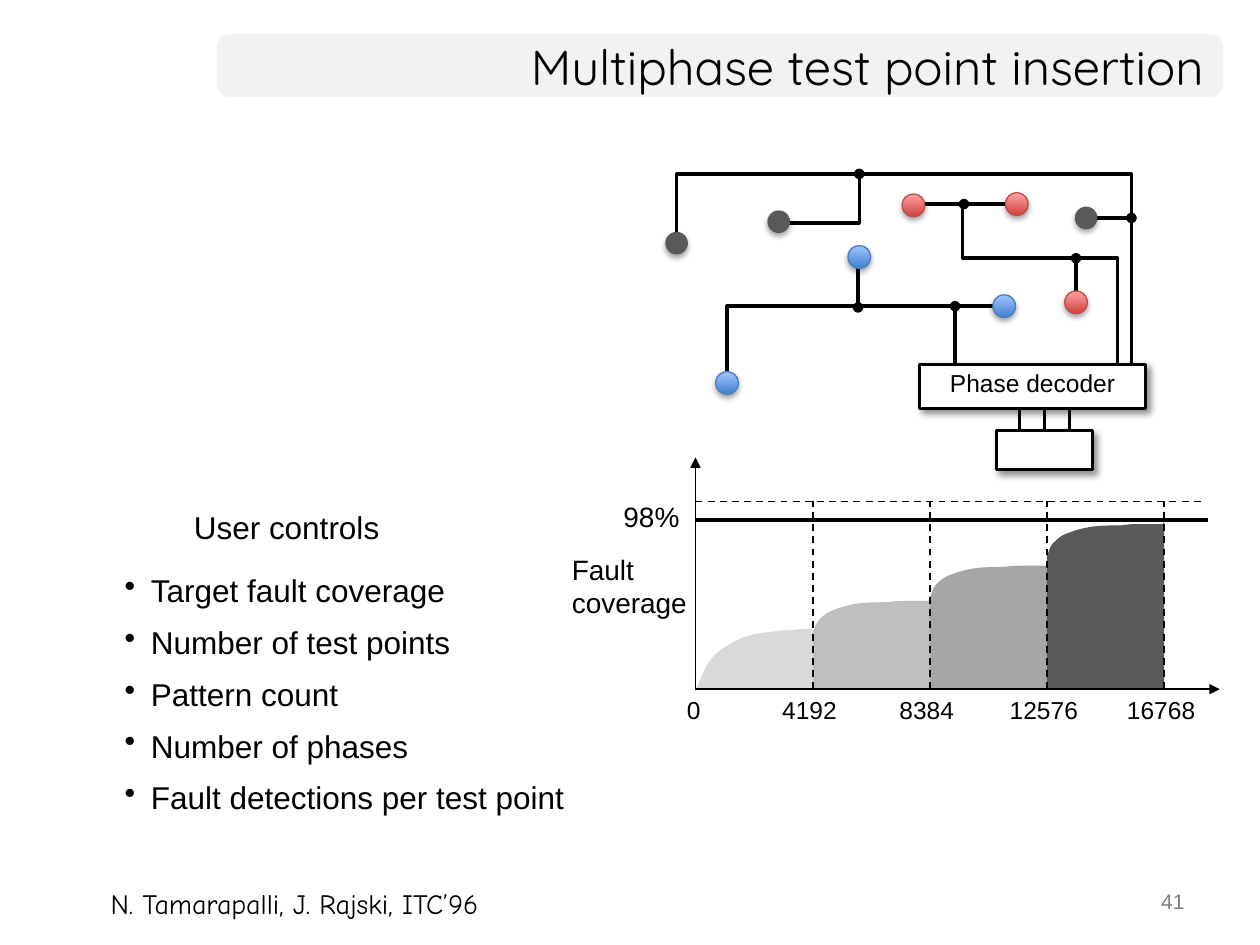
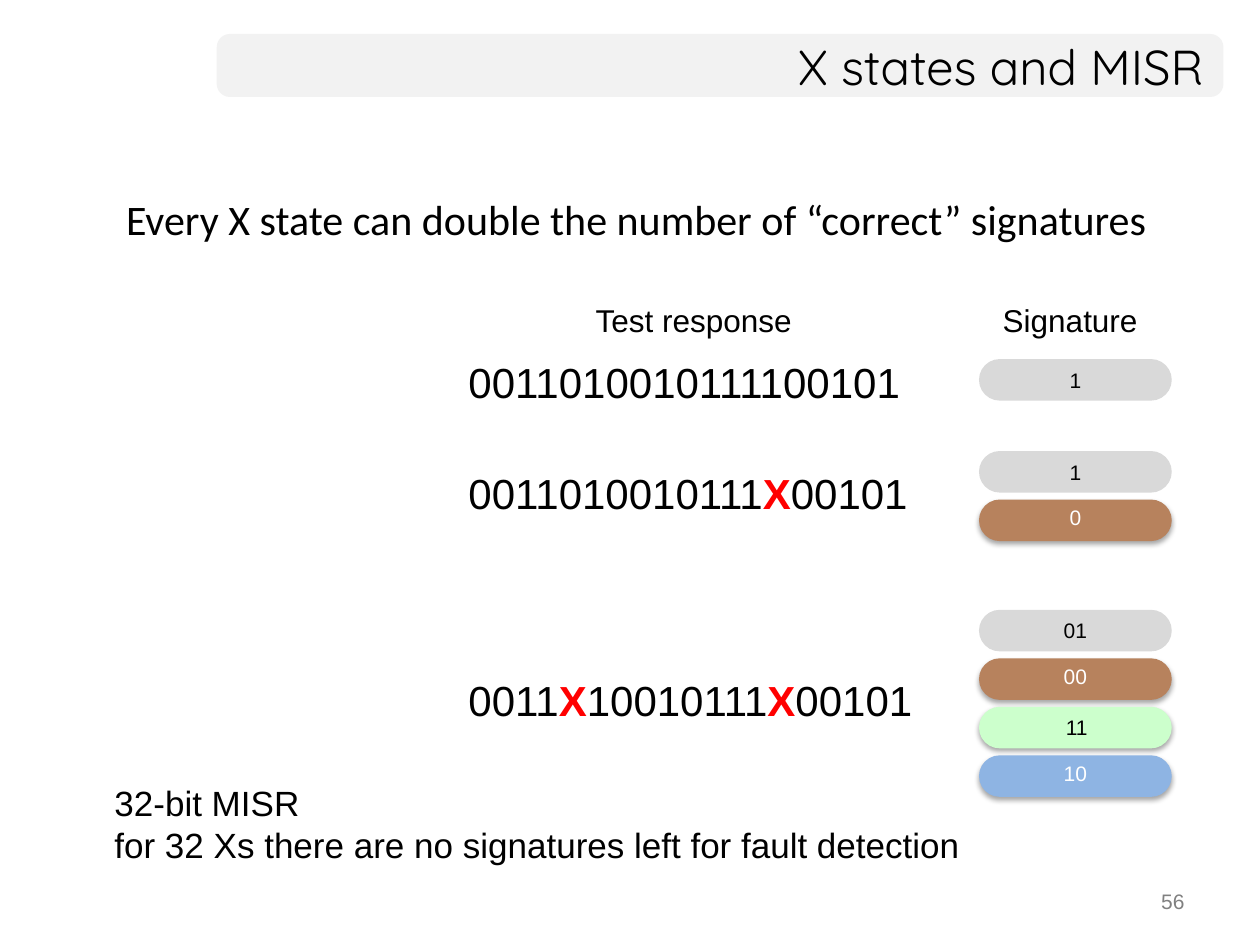
from itertools import groupby

from lxml.etree import SubElement
from pptx import Presentation
from pptx.dml.color import RGBColor
from pptx.enum.dml import MSO_LINE
from pptx.enum.shapes import MSO_CONNECTOR, MSO_SHAPE
from pptx.enum.text import MSO_ANCHOR, MSO_AUTO_SIZE, PP_ALIGN
from pptx.oxml.ns import qn
from pptx.util import Inches, Pt

COLORS = {
    "black": "000000", "white": "FFFFFF", "red": "FF0000",
    "band": "F2F2F2", "page_number": "808080",
    "light_grey": "D9D9D9", "silver": "BFBFBF", "mid_grey": "A6A6A6", "dark_grey": "595959",
    "red_dark": "D1403C", "red_light": "FFA6A5", "red_edge": "BF4C48",
    "blue_dark": "3F80CE", "blue_light": "A4C4FF", "blue_edge": "4B7EBC",
    "brown": "B7825D", "green": "CCFFCC", "sky": "8EB4E3",
}
# opacity %, blur pt, distance pt, angle
SOFT_SHADOW = (35, 3.1, 1.8, 90)
BOX_SHADOW = (43, 4, 3, 45)


def rgb(name):
    return RGBColor.from_string(COLORS[name])


def write_text(shape, text, size=18, font="Arial", color="black", align=PP_ALIGN.LEFT,
               anchor=MSO_ANCHOR.MIDDLE, wrap=True, grow=False, margins=(0.1, 0.05, 0.1, 0.05),
               bullet=None, space_before=0, highlight=None):
    """Write one paragraph per line; the highlight character is bold and red."""
    frame = shape.text_frame
    frame.word_wrap = wrap
    frame.auto_size = MSO_AUTO_SIZE.SHAPE_TO_FIT_TEXT if grow else MSO_AUTO_SIZE.NONE
    frame.vertical_anchor = anchor
    (frame.margin_left, frame.margin_top,
     frame.margin_right, frame.margin_bottom) = map(Inches, margins)
    for index, line in enumerate(text.split("\n")):
        paragraph = frame.add_paragraph() if index else frame.paragraphs[0]
        paragraph.alignment = align
        if index and space_before:
            paragraph.space_before = Pt(space_before)
        if bullet:
            properties = paragraph._p.get_or_add_pPr()
            properties.set("marL", str(Inches(0.21)))
            properties.set("indent", str(-Inches(0.21)))
            SubElement(properties, qn("a:buChar"), char=bullet)
        for marked, letters in groupby(line, lambda letter: letter == highlight):
            run = paragraph.add_run()
            run.text = "".join(letters)
            run.font.size = Pt(size)
            run.font.name = font
            run.font.bold = marked
            run.font.color.rgb = rgb("red" if marked else color)


def add_text(slide, left, top, width, height, text, **style):
    box = slide.shapes.add_textbox(Inches(left), Inches(top), Inches(width), Inches(height))
    write_text(box, text, **style)


def paint(shape, fill=None, line=None, line_width=1, shadow=None):
    """Fill with a colour name or a (from, to) gradient; None leaves it empty."""
    if isinstance(fill, tuple):
        shape.fill.gradient()
        shape.fill.gradient_angle = 90
        for stop, name in zip(shape.fill.gradient_stops, fill):
            stop.color.rgb = rgb(name)
    elif fill:
        shape.fill.solid()
        shape.fill.fore_color.rgb = rgb(fill)
    else:
        shape.fill.background()
    if line:
        shape.line.color.rgb = rgb(line)
        shape.line.width = Pt(line_width)
    else:
        shape.line.fill.background()
    shape.shadow.inherit = False
    if shadow:
        opacity, blur, distance, angle = shadow
        effects = shape.element.spPr.find(qn("a:effectLst"))
        outer = SubElement(effects, qn("a:outerShdw"), blurRad=str(Pt(blur)),
                           dist=str(Pt(distance)), dir=str(angle * 60000), rotWithShape="0")
        color = SubElement(outer, qn("a:srgbClr"), val=COLORS["black"])
        SubElement(color, qn("a:alpha"), val=str(opacity * 1000))


def add_shape(slide, kind, left, top, width, height, corner=None, **style):
    shape = slide.shapes.add_shape(kind, Inches(left), Inches(top), Inches(width), Inches(height))
    if corner is not None:
        shape.adjustments[0] = corner
    paint(shape, **style)
    return shape


def add_outline(slide, points, closed=False, **style):
    points = [(Inches(x), Inches(y)) for x, y in points]
    builder = slide.shapes.build_freeform(*points[0])
    builder.add_line_segments(points[1:], close=closed)
    shape = builder.convert_to_shape()
    paint(shape, **style)
    return shape


def add_line(slide, start, end, width=1, dashed=False):
    line = slide.shapes.add_connector(MSO_CONNECTOR.STRAIGHT, *map(Inches, start + end))
    line.line.color.rgb = rgb("black")
    line.line.width = Pt(width)
    if dashed:
        line.line.dash_style = MSO_LINE.DASH
    SubElement(line.element.spPr, qn("a:effectLst"))
    return line


def add_line_end(shape, end, kind):
    SubElement(shape.line._get_or_add_ln(), qn(f"a:{end}"), type=kind)


def add_titled_slide(presentation, title, number):
    slide = presentation.slides.add_slide(presentation.slide_layouts[6])
    add_shape(slide, MSO_SHAPE.ROUNDED_RECTANGLE, 1.72, 0.27, 7.99, 0.5, corner=0.21, fill="band")
    add_text(slide, 7.17, 7, 2.33, 0.35, str(number), size=12, color="page_number",
             align=PP_ALIGN.RIGHT, anchor=MSO_ANCHOR.TOP)
    add_text(slide, 1.72, 0.27, 7.93, 0.5, title, size=28, font="Quicksand", align=PP_ALIGN.RIGHT)
    return slide


def draw_circuit(slide, left, top):
    """Test points of three phases, wired to the phase decoder and its register."""
    wires = [  # points, junction dot at the first one
        ([(2.3, 1.68), (2.3, 1.05), (0.49, 1.05), (0.49, 1.66)], False),
        ([(1.53, 1.06), (1.53, 0.73)], True),
        ([(2.3, 1.05), (2.66, 1.05)], True),
        ([(3.7, 1.57), (3.7, 0), (0.09, 0), (0.09, 0.55)], False),
        ([(1.54, 0), (1.54, 0.39), (0.9, 0.39)], True),
        ([(3.7, 0.35), (3.34, 0.35)], True),
        ([(3.59, 1.58), (3.59, 0.67), (2.36, 0.67), (2.36, 0.24), (1.96, 0.24)], False),
        ([(2.37, 0.24), (2.72, 0.24)], True),
        ([(3.26, 0.67), (3.26, 1.01)], True),
    ]
    for points, junction in wires:
        points = [(left + x, top + y) for x, y in points]
        if len(points) == 2:
            wire = add_line(slide, *points, width=2)
        else:
            wire = add_outline(slide, points, line="black", line_width=2)
        if junction:
            add_line_end(wire, "headEnd", "oval")

    box_style = dict(fill="white", line="black", line_width=1.75, shadow=BOX_SHADOW)
    register = add_shape(slide, MSO_SHAPE.RECTANGLE, left + 2.63, top + 2.04, 0.76, 0.31,
                         **box_style)
    decoder = add_shape(slide, MSO_SHAPE.RECTANGLE, left + 2.02, top + 1.51, 1.79, 0.35,
                        **box_style)
    write_text(decoder, "Phase decoder", size=14, align=PP_ALIGN.CENTER,
               margins=(0.1, 0.05, 0.1, 0.1))
    for offset in (-0.2, 0, 0.2):
        x = left + 3.01 + offset
        bus_line = add_line(slide, (x, top + 2.04), (x, top + 1.86), width=1.5)
        if offset == 0:
            bus_line.begin_connect(register, 0)

    size = 0.18
    test_points = [
        (("red_dark", "red_light"), "red_edge", [(1.97, 0.25), (2.79, 0.24), (3.26, 1.02)]),
        (("blue_dark", "blue_light"), "blue_edge", [(0.49, 1.66), (1.54, 0.66), (2.69, 1.05)]),
        ("dark_grey", None, [(0.09, 0.55), (0.9, 0.38), (3.34, 0.35)]),
    ]
    for fill, edge, centers in test_points:
        for x, y in centers:
            add_shape(slide, MSO_SHAPE.OVAL, left + x - size / 2, top + y - size / 2, size, size,
                      fill=fill, line=edge, line_width=0.75, shadow=SOFT_SHADOW)


def sample_curve(knots, steps=6):
    """Points along joined cubic curves: a start, then three points per piece."""
    points = [knots[0]]
    for first in range(0, len(knots) - 1, 3):
        piece = knots[first:first + 4]
        for step in range(1, steps + 1):
            t = step / steps
            weights = ((1 - t) ** 3, 3 * t * (1 - t) ** 2, 3 * t * t * (1 - t), t ** 3)
            points.append(tuple(sum(weight * knot[axis] for weight, knot in zip(weights, piece))
                                for axis in (0, 1)))
    return points


def draw_coverage_graph(slide, left, top):
    """Fault coverage growing over four phases, with the axes' box at left, top."""
    base, limit, target, phase_width = top + 1.84, top + 0.35, top + 0.5, 0.93
    first_rise = [(0, 0), (0.02, 0.03), (0.06, 0.13), (0.09, 0.19), (0.12, 0.24), (0.16, 0.28),
                  (0.21, 0.32), (0.27, 0.36), (0.34, 0.4), (0.41, 0.42), (0.48, 0.45),
                  (0.58, 0.45), (0.64, 0.46), (0.71, 0.47), (0.74, 0.47), (0.79, 0.47),
                  (0.83, 0.48), (0.9, 0.48), (0.92, 0.48)]
    later_rise = [(0, 0), (0.01, 0.01), (0.02, 0.07), (0.05, 0.1), (0.08, 0.13), (0.11, 0.16),
                  (0.17, 0.18), (0.22, 0.2), (0.29, 0.22), (0.36, 0.23), (0.43, 0.24),
                  (0.52, 0.24), (0.59, 0.24), (0.65, 0.25), (0.69, 0.25), (0.75, 0.25),
                  (0.8, 0.25), (0.88, 0.25), (0.92, 0.25)]
    phases = [  # patterns, colour, coverage height at start and end, curve
        ("4192", "light_grey", 0, 0.49, first_rise),
        ("8384", "silver", 0.45, 0.71, later_rise),
        ("12576", "mid_grey", 0.73, 0.99, later_rise),
        ("16768", "dark_grey", 1.06, 1.33, later_rise),
    ]
    label_style = dict(size=14, align=PP_ALIGN.CENTER, wrap=False, grow=True)
    for index, (_, color, start, end, rise) in enumerate(phases):
        x = left + index * phase_width
        curve = [(x + dx, base - start - dy) for dx, dy in sample_curve(rise)]
        right = x + phase_width
        add_outline(slide, [(x, base)] + curve + [(right, base - end), (right, base)],
                    closed=True, fill=color)
    add_line(slide, (left, target), (left + 4.07, target), width=2.25)
    add_text(slide, left - 0.67, target - 0.22, 0.66, 0.37, "98%", size=16, wrap=False, grow=True)
    for index, (patterns, *_) in enumerate(phases, start=1):
        x = left + index * phase_width
        add_line(slide, (x, base), (x, limit), dashed=True)
        add_text(slide, x - 0.4, base - 0.01, 0.75, 0.34, patterns, **label_style)
    add_text(slide, left - 0.17, base - 0.01, 0.31, 0.34, "0", **label_style)
    for end in ((left, top), (left + 4.16, base)):
        add_line_end(add_line(slide, (left, base), end), "tailEnd", "triangle")
    add_line(slide, (left, limit), (left + 4.05, limit), dashed=True)
    add_text(slide, left - 1.08, top + 0.7, 1.11, 0.64, "Fault\ncoverage", size=16,
             wrap=False, grow=True)


def draw_user_controls(slide, left, top):
    add_text(slide, left + 0.55, top, 1.97, 0.4, "User controls", grow=True)
    controls = ["Target fault coverage", "Number of test points", "Pattern count",
                "Number of phases", "Fault detections per test point"]
    add_text(slide, left, top + 0.52, 4.16, 2.01, "\n".join(controls), bullet="•", space_before=8)


def draw_signatures(slide, left, top, labels):
    """Stack of pills, one for each possible signature."""
    styles = [  # fill, text colour, left and bottom margin, shadow
        ("light_grey", "black", 0.1, 0.05, None),
        ("brown", "white", 0.1, 0.1, SOFT_SHADOW),
        ("green", "black", 0.12, 0.05, SOFT_SHADOW),
        ("sky", "white", 0.1, 0.1, SOFT_SHADOW),
    ]
    for index, (label, style) in enumerate(zip(labels, styles)):
        fill, color, margin_left, margin_bottom, shadow = style
        pill = add_shape(slide, MSO_SHAPE.ROUNDED_RECTANGLE, left, top + index * 0.385, 1.53, 0.33,
                         corner=0.5, fill=fill, shadow=shadow)
        write_text(pill, label, size=12, color=color, align=PP_ALIGN.CENTER,
                   margins=(margin_left, 0.05, 0.1, margin_bottom))


def draw_responses(slide, left, top):
    """Test responses beside the signatures they may give."""
    signature_left = left + 4.15
    add_text(slide, left + 1.01, top, 1.77, 0.4, "Test response", wrap=False, grow=True)
    add_text(slide, signature_left + 0.09, top, 1.28, 0.4, "Signature", wrap=False, grow=True)
    rows = [  # response, its top, width, signatures, their top
        ("0011010010111100101", 0.44, 3.73, ["1"], 0.51),
        ("0011010010111X00101", 1.32, 3.77, ["1", "0"], 1.24),
        ("0011X10010111X00101", 2.96, 3.8, ["01", "00", "11", "10"], 2.5),
    ]
    for response, response_top, width, signatures, signature_top in rows:
        add_text(slide, left, top + response_top, width, 0.5, response, size=24,
                 wrap=False, grow=True, highlight="X")
        draw_signatures(slide, signature_left, top + signature_top, signatures)


def build_test_point_slide(presentation):
    slide = add_titled_slide(presentation, "Multiphase test point insertion", 41)
    draw_coverage_graph(slide, 5.52, 3.63)
    draw_user_controls(slide, 0.89, 3.98)
    draw_circuit(slide, 5.28, 1.38)
    add_text(slide, 0.78, 6.99, 3.6, 0.37, "N. Tamarapalli, J. Rajski, ITC’96", size=16,
             font="Comic Neue", anchor=MSO_ANCHOR.TOP, wrap=False, grow=True)


def build_misr_slide(presentation):
    slide = add_titled_slide(presentation, "X states and MISR", 56)
    add_text(slide, 0.91, 1.49, 8.38, 0.77,
             "Every X state can double the number of “correct” signatures",
             size=24, font="Calibri", anchor=MSO_ANCHOR.TOP, margins=(0.09, 0.05, 0.09, 0.05))
    draw_responses(slide, 3.62, 2.34)
    add_text(slide, 0.81, 6.15, 6.95, 0.78,
             "32-bit MISR\nfor 32 Xs there are no signatures left for fault detection",
             size=20, anchor=MSO_ANCHOR.TOP, grow=True)


def main():
    presentation = Presentation()
    presentation.slide_width = Inches(10)
    presentation.slide_height = Inches(7.5)
    build_test_point_slide(presentation)
    build_misr_slide(presentation)
    presentation.save("out.pptx")


if __name__ == "__main__":
    main()
